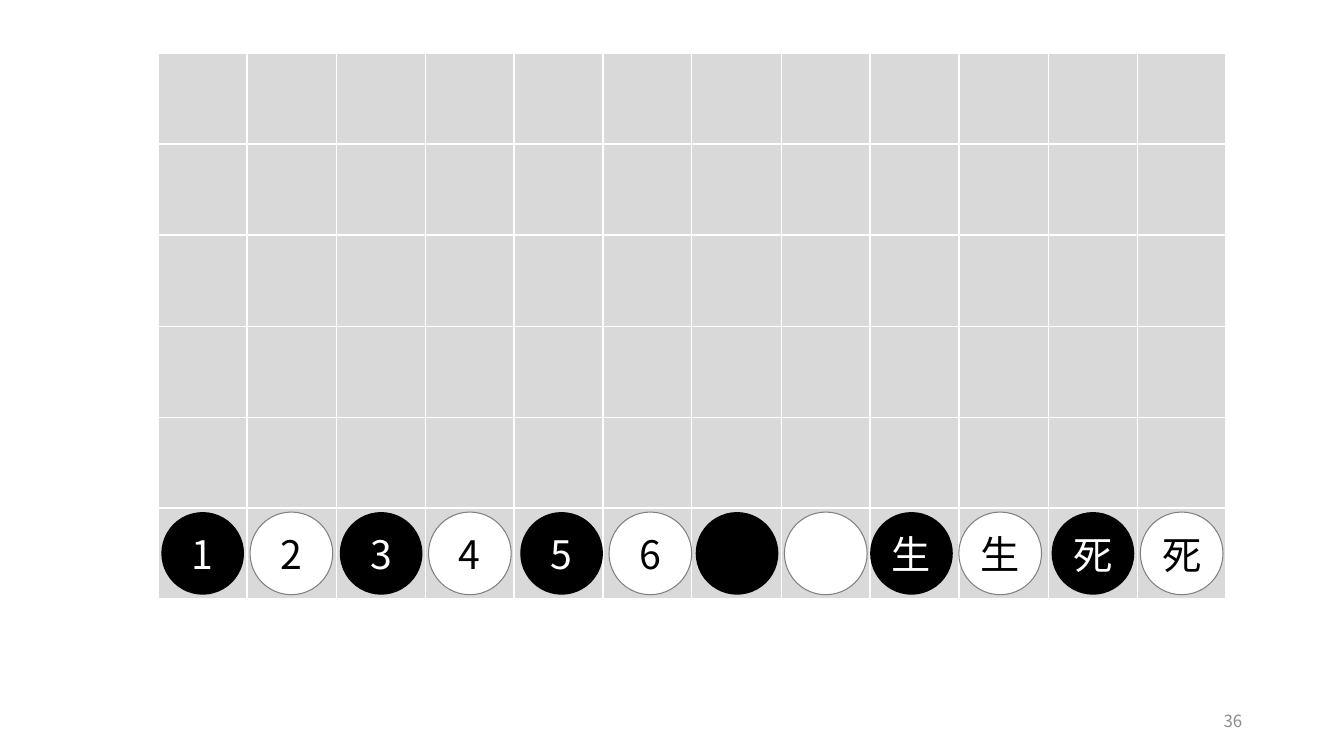
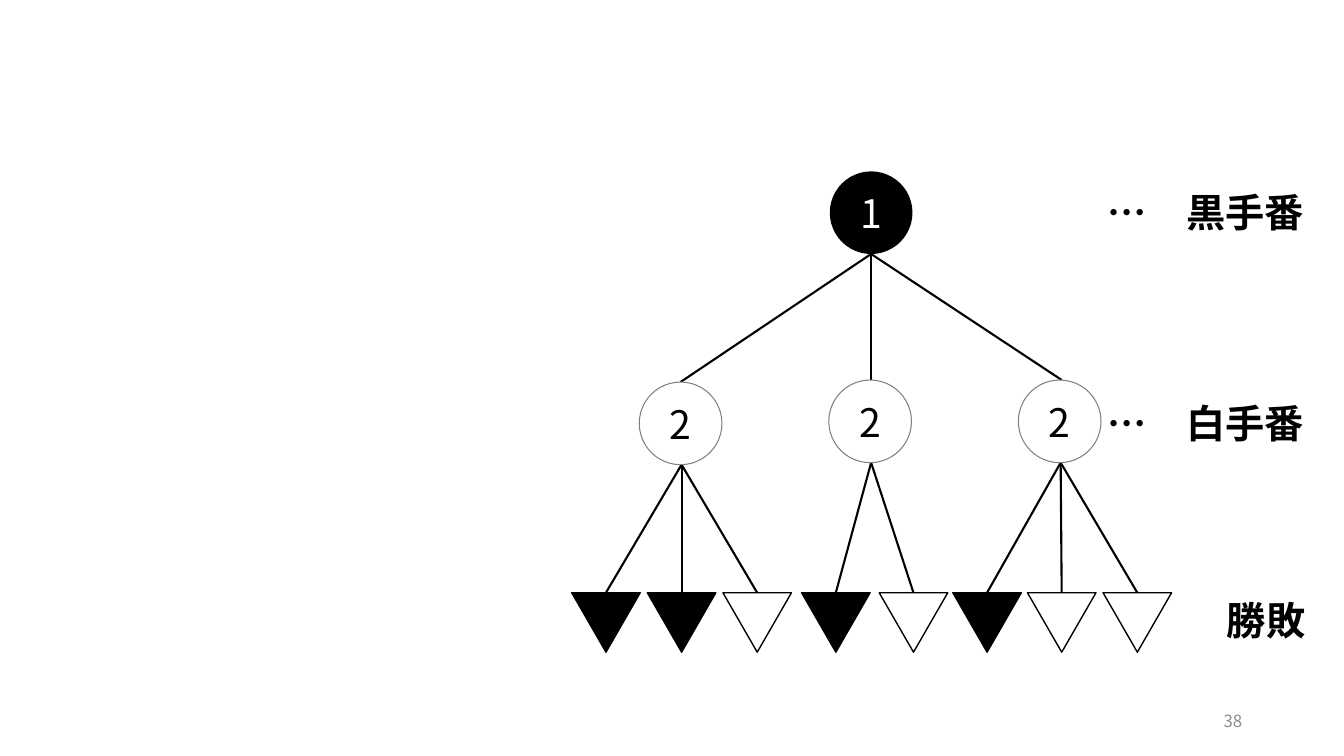
from dataclasses import dataclass

from lxml.etree import SubElement
from pptx import Presentation
from pptx.dml.color import RGBColor
from pptx.enum.lang import MSO_LANGUAGE_ID as Lang
from pptx.enum.shapes import MSO_CONNECTOR as Link, MSO_SHAPE as Kind
from pptx.enum.text import MSO_ANCHOR as Anchor, MSO_AUTO_SIZE as Fit, PP_ALIGN as Align
from pptx.oxml.ns import qn
from pptx.shapes.autoshape import Shape
from pptx.slide import Slide
from pptx.text.text import TextFrame
from pptx.util import Pt

PX = 9144  # 100 px to the inch
BLACK, WHITE, CELL, RIM, MUTED = "000000", "FFFFFF", "D9D9D9", "808080", "8C8C8C"
FONT = "Noto Sans CJK JP"
STONE, LEAF_W, LEAF_H = 82, 68, 59
COLS, ROWS = 12, 6
LEFT, TOP, RIGHT, BOTTOM = 157, 53, 1216, 594
STONE_Y, LEAF_Y = 508, 588
ROOT_X, ROOT_Y = 823, 170


@dataclass(frozen=True)
class Pair:
    """A black stone and the white stone one cell to its right."""
    x: int
    black: str
    white: str


@dataclass(frozen=True)
class Leaf:
    x: int
    fill: str | None


@dataclass(frozen=True)
class Node:
    y: int
    leaves: tuple[Leaf, ...]


@dataclass(frozen=True)
class Label:
    x: int
    y: int
    w: int
    text: str


PAIRS = (
    Pair(160, "1", "2"), Pair(337, "3", "4"), Pair(516, "5", "6"),
    Pair(690, "", ""), Pair(863, "生", "生"), Pair(1043, "死", "死"),
)
NODES = (
    Node(379, (Leaf(567, BLACK), Leaf(642, BLACK), Leaf(717, None))),
    Node(377, (Leaf(795, BLACK), Leaf(872, None))),
    Node(377, (Leaf(945, BLACK), Leaf(1019, None), Leaf(1094, None))),
)
LABELS = (
    Label(1089, 182, 217, "…\u3000黒手番".replace("\u3000", "　")),
    Label(1089, 391, 217, "…　白手番"),
    Label(1207, 587, 99, "勝敗"),
)


def px(*sizes: int) -> list[int]:
    return [size * PX for size in sizes]


def tint(code: str) -> RGBColor:
    return RGBColor.from_string(code)


def write(frame: TextFrame, text: str, color: str, align: Align,
          size: int = 28, bold: bool = False) -> None:
    para = frame.paragraphs[0]
    para.alignment = align
    run = para.add_run()
    run.text = text
    form = {"name": FONT, "size": Pt(size), "bold": bold,
            "language_id": Lang.JAPANESE}
    for key, value in form.items():
        setattr(run.font, key, value)
    run.font.color.rgb = tint(color)
    SubElement(run.font._element, qn("a:ea"), typeface=FONT)


def draw(slide: Slide, kind: Kind, x: int, y: int, w: int, h: int,
         fill: str | None, line: str | None, width: float = 1) -> Shape:
    shape = slide.shapes.add_shape(kind, *px(x, y, w, h))
    shape.shadow.inherit = False
    if fill:
        shape.fill.solid()
        shape.fill.fore_color.rgb = tint(fill)
    else:
        shape.fill.background()
    if line:
        shape.line.color.rgb = tint(line)
        shape.line.width = Pt(width)
    else:
        shape.line.fill.background()
    return shape


def add_stone(slide: Slide, x: int, y: int, text: str, dark: bool) -> None:
    fill, ink, line = (BLACK, WHITE, None) if dark else (WHITE, BLACK, RIM)
    stone = draw(slide, Kind.OVAL, x, y, STONE, STONE, fill, line, 0.75)
    if text:
        frame = stone.text_frame
        form = {"word_wrap": False, "vertical_anchor": Anchor.MIDDLE}
        for key, value in form.items():
            setattr(frame, key, value)
        write(frame, text, ink, Align.CENTER)


def add_leaf(slide: Slide, leaf: Leaf) -> None:
    shape = draw(slide, Kind.ISOSCELES_TRIANGLE, leaf.x, LEAF_Y,
                 LEAF_W, LEAF_H, leaf.fill, BLACK)
    shape.rotation = 180


def add_link(slide: Slide, x1: int, y1: int, x2: int, y2: int) -> None:
    link = slide.shapes.add_connector(Link.STRAIGHT, *px(x1, y1, x2, y2))
    link.line.color.rgb = tint(BLACK)
    link.line.width = Pt(1.5)
    SubElement(link._element.spPr, qn("a:effectLst"))


def add_label(slide: Slide, label: Label) -> None:
    frame = slide.shapes.add_textbox(*px(label.x, label.y, label.w, 57)).text_frame
    form = {"word_wrap": False, "auto_size": Fit.SHAPE_TO_FIT_TEXT}
    for key, value in form.items():
        setattr(frame, key, value)
    write(frame, label.text, BLACK, Align.LEFT, bold=True)


def add_page(deck: Presentation, number: int) -> Slide:
    """Add a blank slide with its page number at the lower right."""
    slide = deck.slides.add_slide(deck.slide_layouts[6])
    frame = slide.shapes.add_textbox(*px(942, 695, 300, 40)).text_frame
    frame.word_wrap = True
    frame.vertical_anchor = Anchor.MIDDLE
    write(frame, str(number), MUTED, Align.RIGHT, 12)
    return slide


def draw_board(slide: Slide) -> None:
    xs = [round(LEFT + (RIGHT - LEFT) * i / COLS) for i in range(COLS + 1)]
    ys = [round(TOP + (BOTTOM - TOP) * i / ROWS) for i in range(ROWS + 1)]
    for y, low in zip(ys, ys[1:]):
        for x, far in zip(xs, xs[1:]):
            draw(slide, Kind.RECTANGLE, x, y, far - x, low - y, CELL, WHITE)
    for pair in PAIRS:
        add_stone(slide, pair.x, STONE_Y, pair.black, True)
        add_stone(slide, pair.x + 88, STONE_Y, pair.white, False)


def draw_tree(slide: Slide) -> None:
    for i, node in enumerate(NODES):
        x = 634 + 188 * i
        add_link(slide, 675 + 189 * i, node.y, ROOT_X + STONE // 2, ROOT_Y + STONE)
        for leaf in node.leaves:
            add_link(slide, leaf.x + LEAF_W // 2, LEAF_Y,
                     x + STONE // 2 + 1, node.y + STONE)
            add_leaf(slide, leaf)
        add_stone(slide, x, node.y, "2", False)
    add_stone(slide, ROOT_X, ROOT_Y, "1", True)
    for label in LABELS:
        add_label(slide, label)


def main() -> None:
    deck = Presentation()
    deck.slide_width, deck.slide_height = px(1333, 750)
    draw_board(add_page(deck, 36))
    draw_tree(add_page(deck, 38))
    deck.save("out.pptx")


if __name__ == "__main__":
    main()
